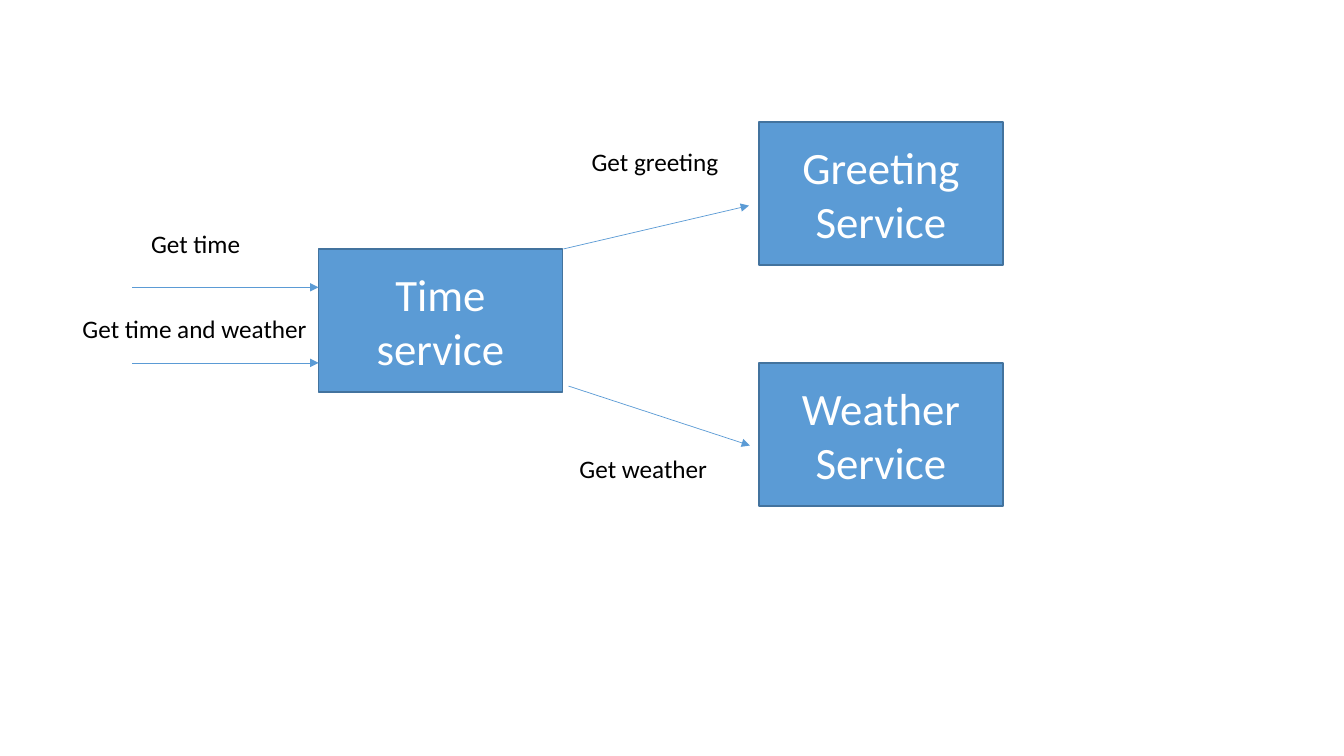
import dataclasses

import pptx
import pptx.dml.color
import pptx.enum.shapes
import pptx.enum.text
import pptx.oxml.ns
import pptx.shapes.base
import pptx.slide
import pptx.util
from lxml import etree

SLIDE_WIDTH = pptx.util.Inches(13.333)
SLIDE_HEIGHT = pptx.util.Inches(7.5)
COLORS = {
    "service": "5B9BD5",
    "border": "43739E",
    "service_text": "FFFFFF",
    "call_text": "000000",
}
FONT = "Calibri"
SERVICE_WIDTH, SERVICE_HEIGHT = 18.15, 18.93
CALL_HEIGHT = 5.33
CALLER_LEFT, TIME_LEFT, BACKEND_LEFT = 9.83, 23.7, 56.48


@dataclasses.dataclass(frozen=True)
class Service:
    name: str
    left: float
    top: float


@dataclasses.dataclass(frozen=True)
class Call:
    label: str
    label_left: float
    label_top: float
    label_width: float
    start: tuple[float, float]
    end: tuple[float, float]


SERVICES = [
    Service("Time\nservice", TIME_LEFT, 32.93),
    Service("Greeting\nService", BACKEND_LEFT, 16.13),
    Service("Weather\nService", BACKEND_LEFT, 48),
]
CALLS = [
    Call("Get greeting", 43.28, 18.67, 11.1, (41.93, 32.93), (55.73, 27.2)),
    Call("Get weather", 42.38, 59.33, 11.1, (42.3, 51.07), (55.8, 58.93)),
    Call("Get time", 10.5, 29.6, 8.25, (CALLER_LEFT, 38), (TIME_LEFT, 38)),
    Call("Get time and weather", 5.4, 40.8, 18.45, (CALLER_LEFT, 48), (TIME_LEFT, 48)),
]


def across(percent: float) -> int:
    return round(SLIDE_WIDTH * percent / 100)


def down(percent: float) -> int:
    return round(SLIDE_HEIGHT * percent / 100)


def color(role: str) -> pptx.dml.color.RGBColor:
    return pptx.dml.color.RGBColor.from_string(COLORS[role])


def write(
    holder: pptx.shapes.base.BaseShape,
    wording: str,
    size: int,
    role: str,
    alignment: pptx.enum.text.PP_ALIGN,
) -> None:
    holder.text_frame.text = wording
    for paragraph in holder.text_frame.paragraphs:
        paragraph.alignment = alignment
        for run in paragraph.runs:
            run.font.name = FONT
            run.font.size = pptx.util.Pt(size)
            run.font.color.rgb = color(role)


def draw_service(slide: pptx.slide.Slide, service: Service) -> None:
    box = slide.shapes.add_shape(
        pptx.enum.shapes.MSO_SHAPE.RECTANGLE,
        across(service.left),
        down(service.top),
        across(SERVICE_WIDTH),
        down(SERVICE_HEIGHT),
    )
    box.shadow.inherit = False
    box.fill.solid()
    box.fill.fore_color.rgb = color("service")
    box.line.color.rgb = color("border")
    box.line.width = pptx.util.Pt(1)
    box.text_frame.vertical_anchor = pptx.enum.text.MSO_ANCHOR.MIDDLE
    write(box, service.name, 32, "service_text", pptx.enum.text.PP_ALIGN.CENTER)


def draw_call(slide: pptx.slide.Slide, call: Call) -> None:
    arrow = slide.shapes.add_connector(
        pptx.enum.shapes.MSO_CONNECTOR.STRAIGHT,
        across(call.start[0]),
        down(call.start[1]),
        across(call.end[0]),
        down(call.end[1]),
    )
    arrow.line.color.rgb = color("service")
    arrow.line.width = pptx.util.Pt(0.5)
    outline = arrow.line._get_or_add_ln()
    etree.SubElement(outline, pptx.oxml.ns.qn("a:tailEnd"), type="triangle")
    etree.SubElement(arrow._element.spPr, pptx.oxml.ns.qn("a:effectLst"))

    label = slide.shapes.add_textbox(
        across(call.label_left),
        down(call.label_top),
        across(call.label_width),
        down(CALL_HEIGHT),
    )
    label.text_frame.word_wrap = False
    label.text_frame.auto_size = pptx.enum.text.MSO_AUTO_SIZE.SHAPE_TO_FIT_TEXT
    write(label, call.label, 18, "call_text", pptx.enum.text.PP_ALIGN.LEFT)


def main() -> None:
    deck = pptx.Presentation()
    deck.slide_width = SLIDE_WIDTH
    deck.slide_height = SLIDE_HEIGHT
    slide = deck.slides.add_slide(deck.slide_layouts.get_by_name("Blank"))
    for service in SERVICES:
        draw_service(slide, service)
    for call in CALLS:
        draw_call(slide, call)
    deck.save("out.pptx")


if __name__ == "__main__":
    main()
